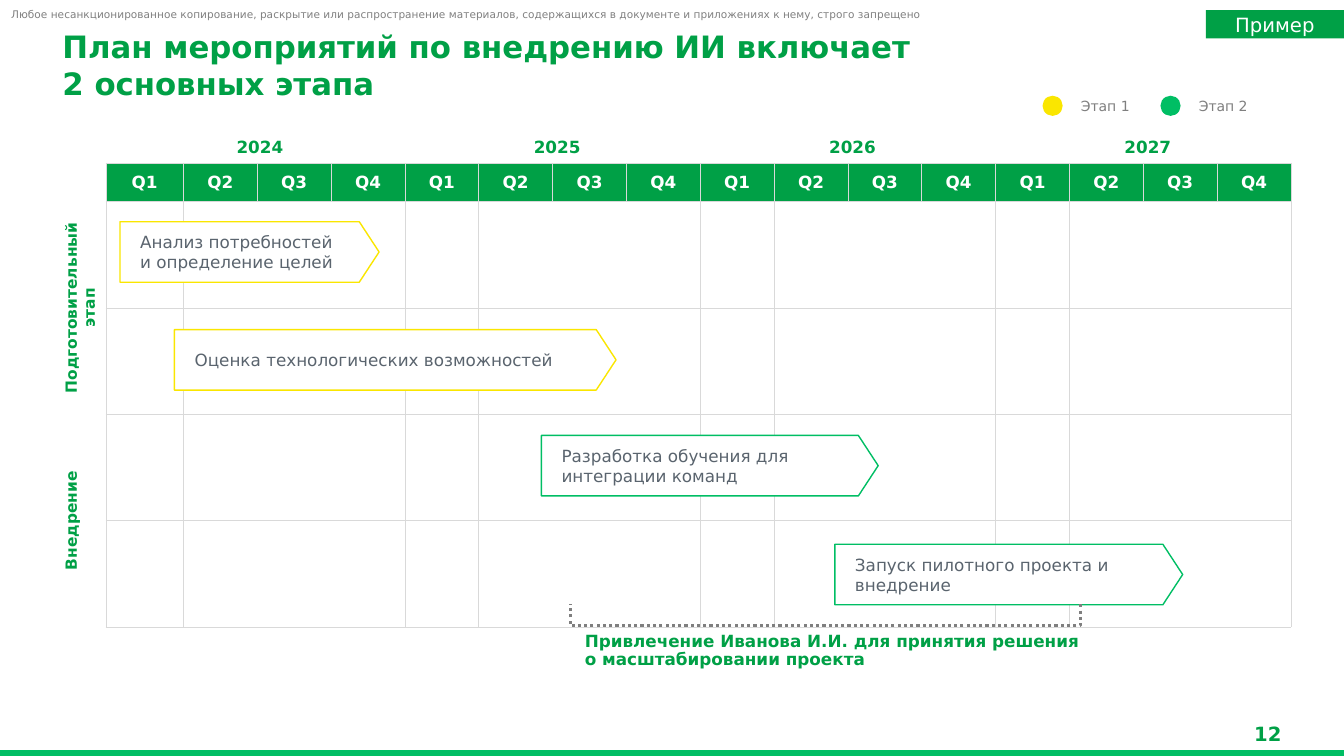
from dataclasses import dataclass
from typing import Optional

from lxml import etree
from pptx import Presentation
from pptx import util as u
from pptx.dml.color import RGBColor
from pptx.enum import dml, shapes, text
from pptx.oxml import ns

PX = 9144  # EMU in one px: 100 px to the inch
FONT = "DejaVu Sans"
GREEN, BRIGHT, YELLOW = "00A046", "00BE64", "FAE600"
WHITE, GRAY, SLATE, GRID = "FFFFFF", "7F7F7F", "5A646E", "D9D9D9"
NO_STYLE = "{2D5ABB26-0587-4C30-8999-92F81FD0307C}"
LEFT, CENTER, RIGHT = text.PP_ALIGN.LEFT, text.PP_ALIGN.CENTER, text.PP_ALIGN.RIGHT
TOP, MIDDLE, BOTTOM = text.MSO_ANCHOR.TOP, text.MSO_ANCHOR.MIDDLE, text.MSO_ANCHOR.BOTTOM
KIND = shapes.MSO_SHAPE


@dataclass(frozen=True)
class Box:
    left: int
    top: int
    width: int
    height: int

    def emu(self) -> tuple:
        return tuple(px(n) for n in (self.left, self.top, self.width, self.height))


@dataclass(frozen=True)
class Style:
    size: float
    color: str
    bold: bool = False
    align: text.PP_ALIGN = LEFT
    anchor: text.MSO_ANCHOR = MIDDLE
    inset: int = 0
    spacing: float = 1.0


@dataclass(frozen=True)
class Label:
    box: Box
    lines: tuple
    style: Style


@dataclass(frozen=True)
class Activity:
    left: int
    top: int
    width: int
    color: str
    caption: str


@dataclass(frozen=True)
class Stage:
    left: int
    color: str
    name: str


def px(n: int) -> int:
    return u.Emu(n * PX)


def rgb(color: str) -> RGBColor:
    return RGBColor.from_string(color)


def add_run(paragraph, words: str, style: Style) -> None:
    run = paragraph.add_run()
    run.text = words
    run.font.name, run.font.size = FONT, u.Pt(style.size)
    run.font.bold, run.font.color.rgb = style.bold, rgb(style.color)


def write(frame, lines: tuple, style: Style) -> None:
    frame.word_wrap = True
    frame.vertical_anchor = style.anchor
    frame.margin_left = frame.margin_right = px(style.inset)
    frame.margin_top = frame.margin_bottom = px(style.inset)
    paragraph = frame.paragraphs[0]
    paragraph.alignment, paragraph.line_spacing = style.align, style.spacing
    for index, line in enumerate(lines):
        if index:
            paragraph.add_line_break()
        add_run(paragraph, line, style)


def add_label(slide, label: Label) -> None:
    write(slide.shapes.add_textbox(*label.box.emu()).text_frame, label.lines, label.style)


def add_shape(slide, kind: KIND, box: Box, fill: Optional[str],
              line: Optional[str] = None, weight: float = 1):
    shape = slide.shapes.add_shape(kind, *box.emu())
    shape.shadow.inherit = False
    if fill:
        shape.fill.solid()
        shape.fill.fore_color.rgb = rgb(fill)
    else:
        shape.fill.background()
    if line:
        shape.line.color.rgb, shape.line.width = rgb(line), u.Pt(weight)
    else:
        shape.line.fill.background()
    return shape


def set_borders(cell, sides: str) -> None:
    properties = cell._tc.get_or_add_tcPr()
    for side in (s for s in "LRTB" if s in sides):
        line = etree.SubElement(properties, ns.qn(f"a:ln{side}"), w=str(u.Pt(0.5)))
        fill = etree.SubElement(line, ns.qn("a:solidFill"))
        etree.SubElement(fill, ns.qn("a:srgbClr"), val=GRID)


def border_sides(row: int, column: int) -> str:
    if column == 0:
        return "R" if row else ""
    if row == 0:
        return "B"
    if row == 1:
        return "LRTB"
    return (("L" if column % 4 == 1 else "") + ("R" if column % 4 == 0 else "")
            + ("B" if row % 2 else "T"))


def fill_cell(cell, lines: tuple, style: Style) -> None:
    cell.vertical_anchor = style.anchor
    for index, line in enumerate(lines):
        paragraph = cell.text_frame.paragraphs[0] if index == 0 else cell.text_frame.add_paragraph()
        paragraph.alignment = style.align
        add_run(paragraph, line, style)


def add_calendar(slide) -> None:
    box = Box(62, 131, 1219, 491)
    frame = slide.shapes.add_table(6, 17, *box.emu())
    table = frame.table
    table.first_row = table.horz_banding = False
    table._tbl.tblPr.find(ns.qn("a:tableStyleId")).text = NO_STYLE
    widths = [px(43), px(77)] + [px(1099) // 15] * 15
    heights = [px(31), px(38)] + [px(422) // 4] * 4
    for column, width in zip(table.columns, widths):
        column.width = width
    for row, height in zip(table.rows, heights):
        row.height = height

    # Grid lines and fills
    for row in range(6):
        for column in range(17):
            cell = table.cell(row, column)
            cell.margin_left = cell.margin_right = cell.margin_top = cell.margin_bottom = 0
            set_borders(cell, border_sides(row, column))
            if row == 1 and column:
                cell.fill.solid()
                cell.fill.fore_color.rgb = rgb(GREEN)
                fill_cell(cell, (f"Q{(column - 1) % 4 + 1}",), Style(12, WHITE, True, CENTER))
            else:
                cell.fill.background()

    # Years across, stages down
    for index, year in enumerate(range(2024, 2028)):
        first = 1 + 4 * index
        cell = table.cell(0, first)
        cell.merge(table.cell(0, first + 3))
        cell.margin_left = px(9)
        fill_cell(cell, (str(year),), Style(12, GREEN, True, CENTER))
    for row, lines in ((2, ("Подготовительный", "этап")), (4, ("Внедрение",))):
        cell = table.cell(row, 0)
        cell.merge(table.cell(row + 1, 0))
        cell._tc.get_or_add_tcPr().set("vert", "vert270")
        fill_cell(cell, lines, Style(11, GREEN, True, CENTER))


HEADINGS = (
    Label(Box(11, 7, 1148, 13),
          ("Любое несанкционированное копирование, раскрытие или распространение материалов, "
           "содержащихся в документе и приложениях к нему, строго запрещено",),
          Style(7.5, "808080", anchor=BOTTOM)),
    Label(Box(1214, 716, 57, 24), ("12",), Style(14, GREEN, True, RIGHT)),
    Label(Box(62, 28, 1087, 74), ("План мероприятий по внедрению ИИ включает", "2 основных этапа"),
          Style(22, GREEN, True, anchor=TOP)),
)
ACTIVITIES = (
    Activity(119, 220, 257, YELLOW, "Анализ потребностей и определение целей"),
    Activity(537, 432, 334, BRIGHT, "Разработка обучения для интеграции команд"),
    Activity(828, 540, 345, BRIGHT, "Запуск пилотного проекта и внедрение"),
    Activity(173, 327, 438, YELLOW, "Оценка технологических возможностей"),
)
STAGES = (Stage(1034, YELLOW, "Этап 1"), Stage(1151, BRIGHT, "Этап 2"))
DECISION = Label(Box(580, 628, 506, 36),
                 ("Привлечение Иванова И.И. для принятия решения о масштабировании проекта",),
                 Style(12, GREEN, True, anchor=TOP, spacing=0.9))


def main() -> None:
    presentation = Presentation()
    presentation.slide_width, presentation.slide_height = px(1333), px(750)
    slide = presentation.slides.add_slide(presentation.slide_layouts[6])

    # Footer bar, headings and calendar
    add_shape(slide, KIND.RECTANGLE, Box(0, 745, 1333, 5), BRIGHT, BRIGHT)
    for label in HEADINGS:
        add_label(slide, label)
    add_calendar(slide)

    # Activities
    for item in ACTIVITIES:
        arrow = add_shape(slide, KIND.PENTAGON, Box(item.left, item.top, item.width, 60), WHITE, item.color)
        arrow.adjustments[0] = 0.327
        write(arrow.text_frame, (item.caption,), Style(12, SLATE, inset=20))

    # Decision period
    add_label(slide, DECISION)
    bracket = add_shape(slide, KIND.LEFT_BRACKET, Box(808, 357, 21, 506), None, GRAY, 2.25)
    bracket.adjustments[0] = 0
    bracket.rotation = 270
    bracket.line.dash_style = dml.MSO_LINE.ROUND_DOT

    # Tag and legend
    tag = add_shape(slide, KIND.RECTANGLE, Box(1196, 10, 137, 28), GREEN)
    write(tag.text_frame, ("Пример",), Style(14, WHITE, align=CENTER))
    for stage in STAGES:
        add_shape(slide, KIND.OVAL, Box(stage.left, 95, 20, 20), stage.color)
        add_label(slide, Label(Box(stage.left + 38, 95, 80, 20), (stage.name,), Style(10, GRAY)))

    presentation.save("out.pptx")


if __name__ == "__main__":
    main()
